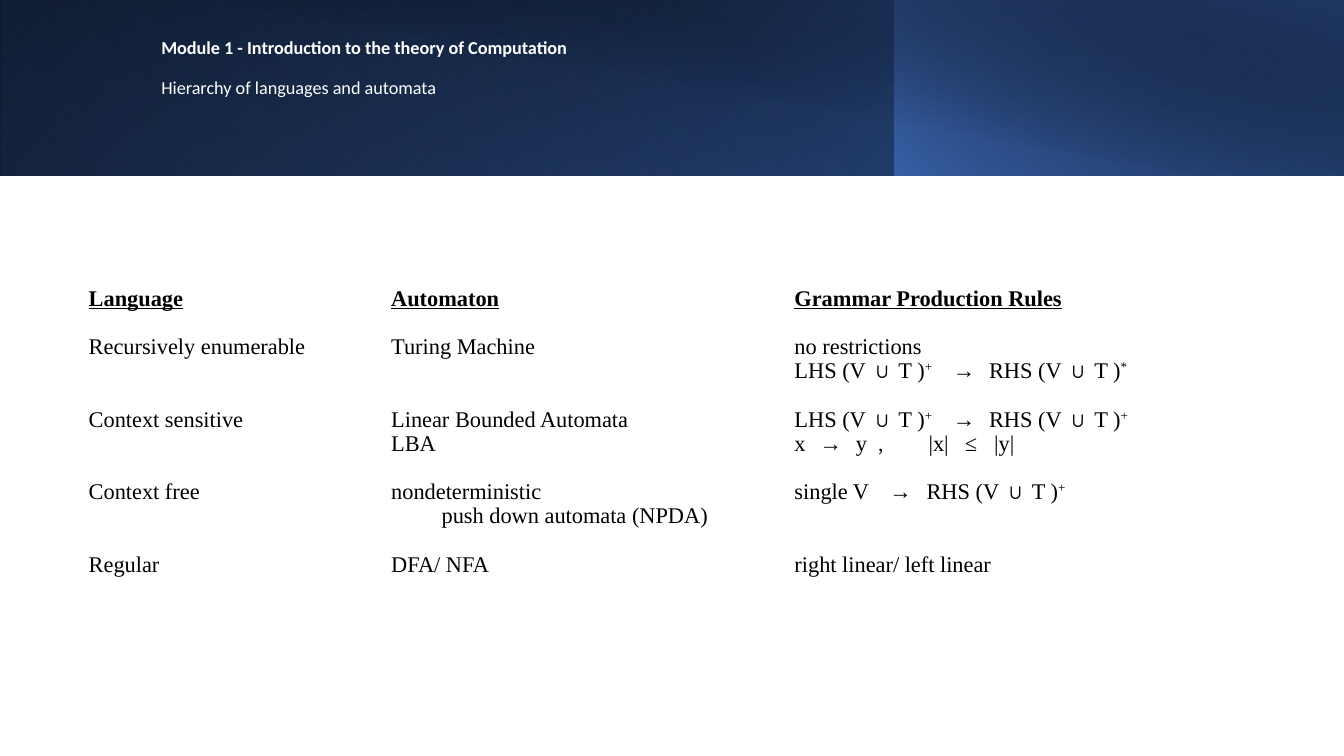
from lxml import etree
from pptx import Presentation, util as u
from pptx.dml.color import RGBColor
from pptx.enum import shapes, text
from pptx.oxml import parse_xml
from pptx.oxml.ns import qn

COLORS = {"black": "000000", "white": "FFFFFF", "blue": "4472C4",
          "medium": "2F5597", "navy": "203864"}
DRAWING = "http://schemas.openxmlformats.org/drawingml/2006/main"
WIDTH, HEIGHT, BANNER_HEIGHT = 13.33, 7.5, 1.74
LINE_PITCH = 17.3
AUTOMATON, GRAMMAR = 3, 7
COLUMNS = (AUTOMATON, GRAMMAR)
FULL_RULE = COLUMNS + (8.57, 8.93)
FRAME = {"word_wrap": True, "auto_size": text.MSO_AUTO_SIZE.NONE,
         "vertical_anchor": text.MSO_ANCHOR.TOP}
TITLE_FONT = {"name": "Calibri", "size": u.Pt(13)}
BODY_FONT = {"name": "Times New Roman", "size": u.Pt(16)}

BANNER_LAYERS = [
    (0, WIDTH, 0, True, 140, [(0, "black", 100), (100, "medium", 100)]),
    (0, 8.88, 180, True, 230, [(20, "blue", 0), (100, "navy", 55)]),
    (8.87, 4.46, 0, True, 220, [(0, "blue", 66), (100, "black", 30)]),
    (0.5, 12.83, 0, False, 280, [(50, "black", 0), (99, "navy", 52)]),
]
TITLE_LINES = [("Module 1 - Introduction to the theory of Computation", True),
               ("Hierarchy of languages and automata", False)]
HIERARCHY = [
    [("Language\tAutomaton\tGrammar Production Rules", COLUMNS)],
    [("Recursively enumerable\tTuring Machine\tno restrictions", COLUMNS),
     ("\t\tLHS (V ∪ T )^+^\t→\tRHS (V ∪ T )^*", FULL_RULE)],
    [("Context sensitive\tLinear Bounded Automata\t"
      "LHS (V ∪ T )^+^\t→\tRHS (V ∪ T )^+", FULL_RULE),
     ("\tLBA\tx\t→\ty\t,\t|x|\t≤\t|y|",
      COLUMNS + (7.25, 7.61, 7.83, 8.33, 8.69, 8.98))],
    [("Context free\tnondeterministic\tsingle V\t→\tRHS (V ∪ T )^+",
      COLUMNS + (7.94, 8.31)),
     ("\tpush down automata (NPDA)", (AUTOMATON + 0.5,))],
    [("Regular\tDFA/ NFA\tright linear/ left linear", COLUMNS)],
]


def apply(target, values):
    """Set every attribute in a dict of format values."""
    for name, value in values.items():
        setattr(target, name, value)


def place(shape, box):
    """Move a shape to a box given in inches."""
    apply(shape, dict(zip(("left", "top", "width", "height"), map(u.Inches, box))))


def add_run(paragraph, content, color, font, **extra):
    """Add one formatted run to a paragraph."""
    run = paragraph.add_run()
    run.text = content
    apply(run.font, {**font, **extra})
    run.font.color.rgb = RGBColor.from_string(COLORS[color])
    return run


def next_paragraph(frame):
    """Return the unused first paragraph or a new one."""
    first = frame.paragraphs[0]
    return frame.add_paragraph() if first.runs else first


def set_gradient(shape, angle, stops):
    """Fill a shape with a linear gradient of semi-transparent stops."""
    stop_xml = "".join(
        f'<a:gs pos="{position * 1000}"><a:srgbClr val="{COLORS[color]}">'
        f'<a:alpha val="{alpha * 1000}"/></a:srgbClr></a:gs>'
        for position, color, alpha in stops)
    gradient = parse_xml(
        f'<a:gradFill xmlns:a="{DRAWING}" rotWithShape="1"><a:gsLst>{stop_xml}</a:gsLst>'
        f'<a:lin ang="{angle * 60000}" scaled="0"/></a:gradFill>')
    shape._element.spPr.find(qn("a:prstGeom")).addnext(gradient)


def clear_indents(root):
    """Drop inherited indents and default tabs so that tab stops apply."""
    for node in root.iter():
        for name in ("marL", "indent", "defTabSz"):
            node.attrib.pop(name, None)


def set_tabs(paragraph, stops):
    """Remove the bullet and set tab stops in inches."""
    properties = paragraph._p.get_or_add_pPr()
    etree.SubElement(properties, qn("a:buNone"))
    tabs = etree.SubElement(properties, qn("a:tabLst"))
    for stop in stops:
        etree.SubElement(tabs, qn("a:tab"), pos=str(int(u.Inches(stop))), algn="l")


def add_banner(slide, left, top, height):
    """Layer the gradient rectangles of the banner."""
    for offset, width, rotation, flipped, angle, stops in BANNER_LAYERS:
        shape = slide.shapes.add_shape(
            shapes.MSO_SHAPE.RECTANGLE,
            *map(u.Inches, (left + offset, top, width, height)))
        shape.rotation = rotation
        shape.shadow.inherit = False
        shape.line.fill.background()
        set_gradient(shape, angle, stops)
        if flipped:
            shape._element.spPr.find(qn("a:xfrm")).set("flipH", "1")


def fill_title(title, box):
    """Write the module name and topic in the title placeholder."""
    place(title, box)
    frame = title.text_frame
    apply(frame, {**FRAME, "margin_top": u.Inches(0.06)})
    for index, (line, bold) in enumerate(TITLE_LINES):
        paragraph = next_paragraph(frame)
        apply(paragraph, {"alignment": text.PP_ALIGN.LEFT, "line_spacing": 0.9,
                          "space_before": u.Pt(15 * index)})
        add_run(paragraph, line, "white", TITLE_FONT, bold=bold)


def fill_hierarchy(body, box):
    """Write the language rows in tabbed columns in the body placeholder."""
    place(body, box)
    frame = body.text_frame
    apply(frame, {**FRAME, "margin_top": u.Inches(0.54)})
    for row, lines in enumerate(HIERARCHY):
        for index, (line, stops) in enumerate(lines):
            paragraph = next_paragraph(frame)
            gap = LINE_PITCH if row and not index else 0
            apply(paragraph, {"alignment": text.PP_ALIGN.LEFT,
                              "line_spacing": u.Pt(LINE_PITCH),
                              "space_before": u.Pt(gap)})
            set_tabs(paragraph, stops)
            if row == 0:
                for column, heading in enumerate(line.split("\t")):
                    if column:
                        add_run(paragraph, "\t", "black", BODY_FONT)
                    add_run(paragraph, heading, "black", BODY_FONT,
                            bold=True, underline=True)
                continue
            for part, content in enumerate(line.split("^")):
                run = add_run(paragraph, content, "black", BODY_FONT)
                if part % 2:
                    run._r.get_or_add_rPr().set("baseline", "30000")


def build_slide(presentation):
    """Build the hierarchy slide with its banner behind the text."""
    slide = presentation.slides.add_slide(presentation.slide_layouts[1])
    title, body = slide.shapes.title, slide.placeholders[1]
    add_banner(slide, 0, 0, BANNER_HEIGHT)
    for placeholder in (title, body):
        slide.shapes._spTree.append(placeholder._element)
    fill_title(title, (1.5, 0.32, 10.82, 1.13))
    fill_hierarchy(body, (0.78, 2.3, 11.78, 4.74))


presentation = Presentation()
apply(presentation, {"slide_width": u.Inches(WIDTH), "slide_height": u.Inches(HEIGHT)})
for root in (presentation.slide_master._element, presentation._element):
    clear_indents(root)
build_slide(presentation)
presentation.save("out.pptx")
